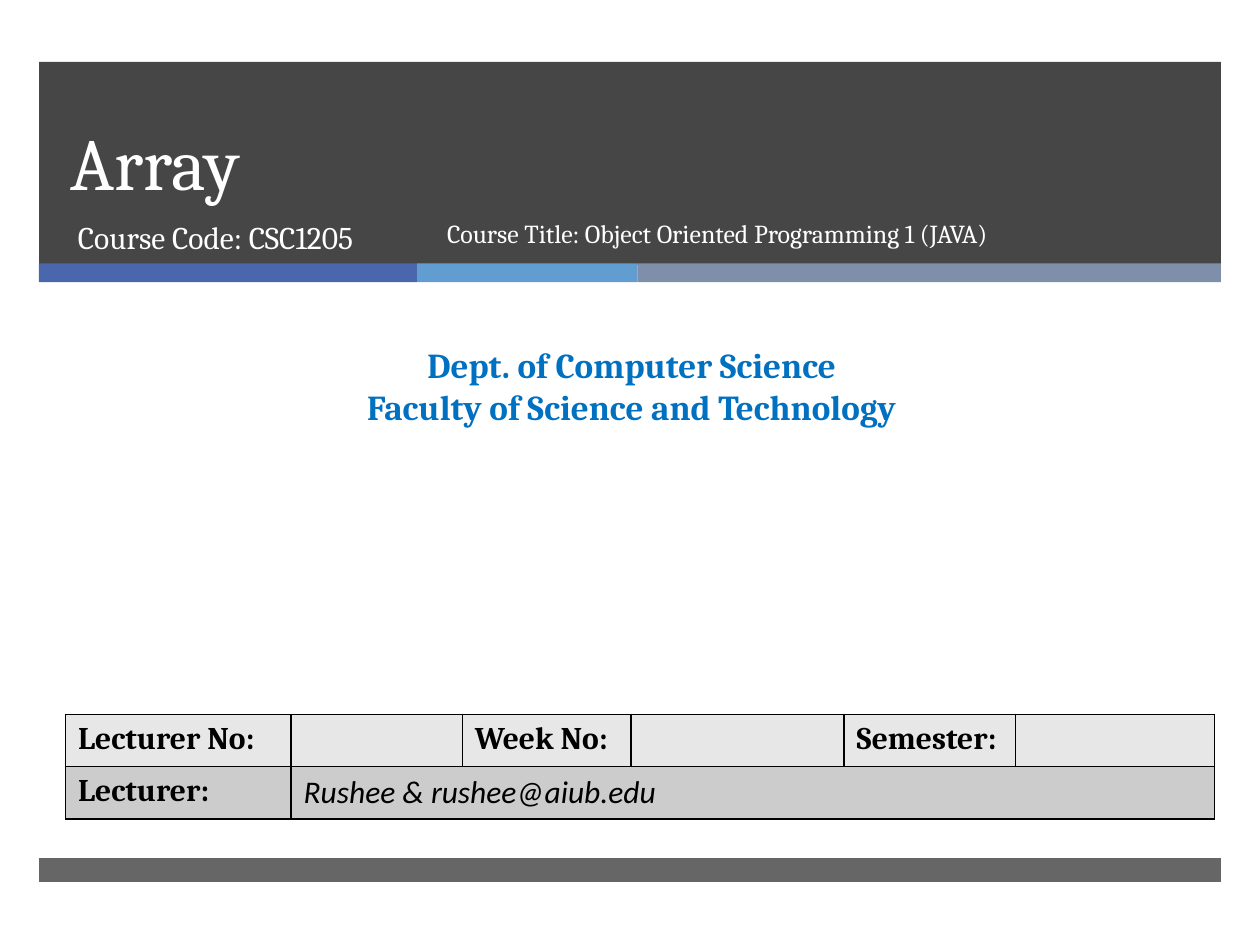
from pptx import Presentation, util as u
from pptx.dml.color import RGBColor
from pptx.enum import shapes, text
from pptx.oxml import parse_xml
from pptx.oxml.ns import nsdecls

DARK = RGBColor(0x26, 0x26, 0x26)
BLUE = RGBColor(0x4A, 0x66, 0xAC)
SKY = RGBColor(0x62, 0x9D, 0xD1)
SLATE = RGBColor(0x7F, 0x8F, 0xA9)
HEADING = RGBColor(0x00, 0x70, 0xC0)
WHITE = RGBColor(0xFF, 0xFF, 0xFF)
BLACK = RGBColor(0, 0, 0)
ROW_FILLS = [RGBColor(0xE7, 0xE7, 0xE7), RGBColor(0xCC, 0xCC, 0xCC)]

WIDTH, HEIGHT = 10, 7.5
MARGIN = 0.31
BAND_WIDTH = WIDTH - 2 * MARGIN

# top, height, opacity in percent
DARK_BANDS = [(0.49, 1.61, 85), (6.81, 0.19, 70)]
STRIPE_TOP, STRIPE_HEIGHT = 2.09, 0.15
STRIPES = [(3, BLUE), (1.75, SKY), (4.63, SLATE)]

LIGHT = dict(name="Cambria", color=WHITE)
TEXTS = [
    ((0.46, 0.49, 8.54, 1.19), ["Array"], dict(LIGHT, size=42),
     dict(line_spacing=u.Pt(46)), text.MSO_ANCHOR.BOTTOM),
    ((0.52, 1.68, 3.05, 0.53), ["Course Code: CSC1205"], dict(LIGHT, size=18),
     {}, text.MSO_ANCHOR.TOP),
    ((3.45, 1.68, 4.97, 0.53),
     ["Course Title: Object Oriented Programming 1 (JAVA)"],
     dict(LIGHT, size=14.8), {}, text.MSO_ANCHOR.TOP),
    ((0.08, 2.68, 9.87, 0.77),
     ["Dept. of Computer Science", "Faculty of Science and Technology"],
     dict(name="Cambria", size=20, bold=True, color=HEADING),
     dict(alignment=text.PP_ALIGN.CENTER), text.MSO_ANCHOR.TOP),
]

TABLE_AT = (0.52, 5.67)
COLUMNS = [1.79, 1.36, 1.34, 1.69, 1.36, 1.58]
ROW_HEIGHT = 0.415
ROWS = [
    ["Lecturer No:", "", "Week No:", "", "Semester:", ""],
    ["Lecturer:", "Rushee & rushee@aiub.edu", "", "", "", ""],
]
LABEL = dict(name="Cambria", size=18, bold=True, color=BLACK)
LECTURER = dict(name="Calibri", size=18, bold=False, italic=True, color=BLACK)


def inches(values):
    return [u.Inches(value) for value in values]


def set_font(font, style):
    for key, value in style.items():
        if key == "color":
            font.color.rgb = value
        else:
            setattr(font, key, u.Pt(value) if key == "size" else value)


def add_band(page, place, color, opacity=100):
    band = page.shapes.add_shape(shapes.MSO_SHAPE.RECTANGLE, *inches(place))
    band.shadow.inherit = False
    band.line.fill.background()
    band.fill.solid()
    band.fill.fore_color.rgb = color
    if opacity < 100:
        shade = band.fill._xPr.find(".//{*}srgbClr")
        shade.append(parse_xml(
            f'<a:alpha {nsdecls("a")} val="{opacity * 1000}"/>'))


def add_text(page, place, lines, style, layout, anchor):
    frame = page.shapes.add_textbox(*inches(place)).text_frame
    frame.word_wrap = True
    frame.vertical_anchor = anchor
    frame.text = "\n".join(lines)
    for para in frame.paragraphs:
        for key, value in layout.items():
            setattr(para, key, value)
        for span in para.runs:
            set_font(span.font, style)


def add_borders(cell):
    properties = cell._tc.get_or_add_tcPr()
    for index, side in enumerate(("lnL", "lnR", "lnT", "lnB")):
        properties.insert(index, parse_xml(
            f'<a:{side} {nsdecls("a")} w="12700"><a:solidFill>'
            f'<a:srgbClr val="{BLACK}"/></a:solidFill></a:{side}>'))


def add_details(page):
    size = (sum(COLUMNS), ROW_HEIGHT * len(ROWS))
    table = page.shapes.add_table(
        len(ROWS), len(COLUMNS), *inches(TABLE_AT + size)).table
    for column, width in zip(table.columns, COLUMNS):
        column.width = u.Inches(width)
    for r, (words, fill) in enumerate(zip(ROWS, ROW_FILLS)):
        table.rows[r].height = u.Inches(ROW_HEIGHT)
        for c, word in enumerate(words):
            cell = table.cell(r, c)
            cell.fill.solid()
            cell.fill.fore_color.rgb = fill
            add_borders(cell)
            cell.text = word
            set_font(cell.text_frame.paragraphs[0].font, LABEL)
            for span in cell.text_frame.paragraphs[0].runs:
                set_font(span.font, LECTURER if (r, c) == (1, 1) else LABEL)
    table.cell(1, 1).merge(table.cell(1, len(COLUMNS) - 1))


def main():
    deck = Presentation()
    deck.slide_width, deck.slide_height = inches((WIDTH, HEIGHT))
    page = deck.slides.add_slide(deck.slide_layouts[6])
    for top, height, opacity in DARK_BANDS:
        add_band(page, (MARGIN, top, BAND_WIDTH, height), DARK, opacity)
    left = MARGIN
    for width, color in STRIPES:
        add_band(page, (left, STRIPE_TOP, width, STRIPE_HEIGHT), color)
        left += width
    for entry in TEXTS:
        add_text(page, *entry)
    add_details(page)
    deck.save("out.pptx")


if __name__ == "__main__":
    main()
